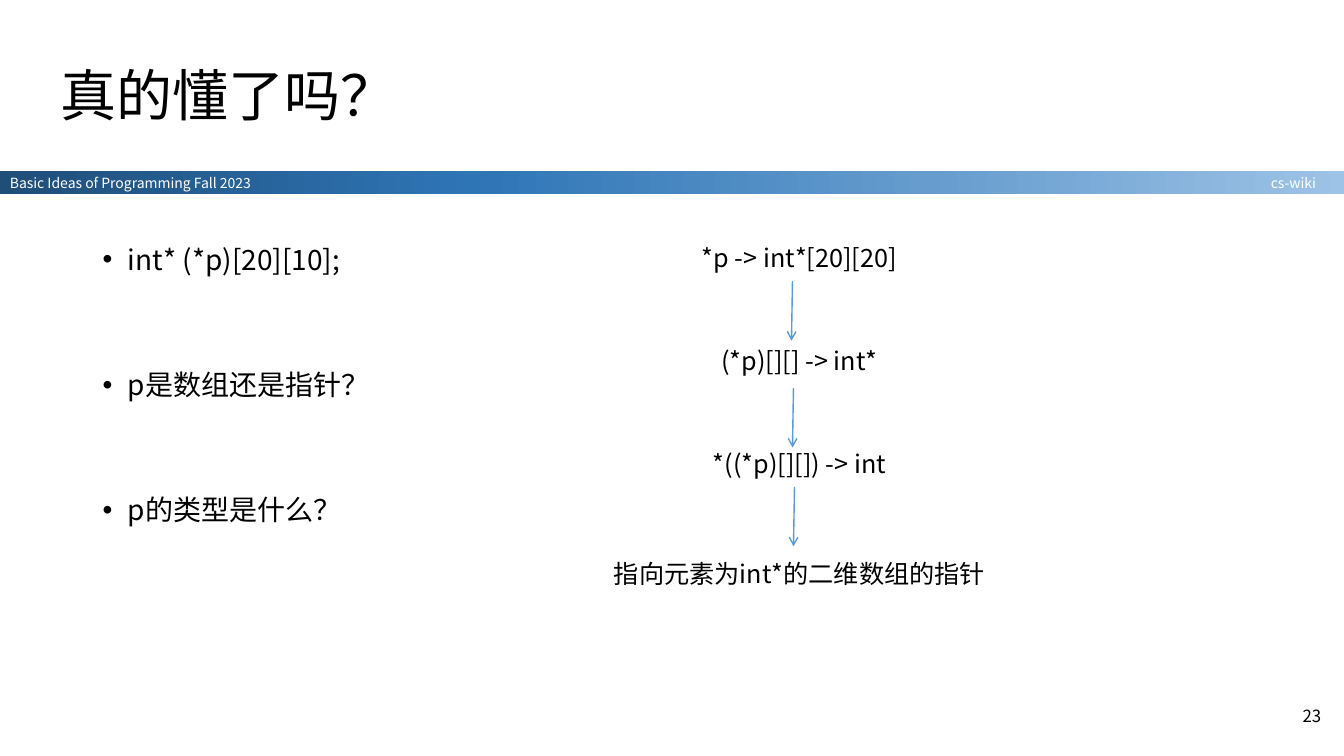
from lxml.etree import SubElement
from pptx import Presentation
from pptx.dml.color import RGBColor
from pptx.enum.shapes import MSO_CONNECTOR, MSO_SHAPE
from pptx.enum.text import MSO_ANCHOR, PP_ALIGN
from pptx.oxml.ns import qn
from pptx.util import Inches, Pt

FONT = "Noto Sans CJK SC"
BLACK = RGBColor(0, 0, 0)
WHITE = RGBColor(255, 255, 255)
ARROW_BLUE = RGBColor(0x5B, 0x9B, 0xD5)
BAR_STOPS = [(0, RGBColor(0x1F, 0x4E, 0x79)), (35, RGBColor(0x2E, 0x75, 0xB6)),
             (69, RGBColor(0x66, 0x9C, 0xCE)), (100, RGBColor(0x9D, 0xC3, 0xE6))]
WIDTH, HEIGHT = 13.33, 7.5


def write(sp, *lines, size=18, color=BLACK, align=PP_ALIGN.LEFT, anchor=MSO_ANCHOR.TOP,
          spacing=None, gap=0, bullet=False):
    tf = sp.text_frame
    tf.word_wrap = True
    tf.vertical_anchor = anchor
    tf.margin_left = tf.margin_right = Inches(0.1)
    tf.margin_top = tf.margin_bottom = Inches(0.05)
    for i, line in enumerate(lines):
        p = tf.add_paragraph() if i else tf.paragraphs[0]
        p.alignment = align
        p.line_spacing = spacing
        p.space_before = Pt(gap if i else 0)
        if bullet:
            pPr = p._p.get_or_add_pPr()
            pPr.set("marL", str(Inches(0.25)))
            pPr.set("indent", str(Inches(-0.25)))
            SubElement(pPr, qn("a:buFont"), typeface="Arial")
            SubElement(pPr, qn("a:buChar"), char="•")
        r = p.add_run()
        r.text = line
        r.font.size = Pt(size)
        r.font.color.rgb = color
        r.font.name = FONT
        SubElement(r._r.get_or_add_rPr(), qn("a:ea"), typeface=FONT)


def add_text(s, box, *lines, **fmt):
    sp = s.shapes.add_textbox(*map(Inches, box))
    write(sp, *lines, **fmt)


def add_title(s, box, text):
    sp = s.shapes.title
    sp.left, sp.top, sp.width, sp.height = map(Inches, box)
    write(sp, text, size=40, anchor=MSO_ANCHOR.BOTTOM, spacing=0.9)


def add_course_bar(s, box, course, site):
    x, y, w, h = box
    bar = s.shapes.add_shape(MSO_SHAPE.RECTANGLE, *map(Inches, box))
    bar.shadow.inherit = False
    bar.line.fill.background()
    bar.fill.gradient()
    bar.fill.gradient_angle = 0
    stops = bar._element.spPr.find(qn("a:gradFill")).find(qn("a:gsLst"))
    for stop in list(stops):
        stops.remove(stop)
    for share, color in BAR_STOPS:
        stop = SubElement(stops, qn("a:gs"), pos=str(share * 1000))
        SubElement(stop, qn("a:srgbClr"), val=str(color))
    fmt = dict(size=10, color=WHITE, anchor=MSO_ANCHOR.MIDDLE)
    write(bar, course, **fmt)
    add_text(s, (x + w - 2.18, y, 2, h), site, align=PP_ALIGN.RIGHT, **fmt)


def add_arrow(s, x, y, length):
    line = s.shapes.add_connector(MSO_CONNECTOR.STRAIGHT, Inches(x), Inches(y),
                                  Inches(x - 0.01), Inches(y + length))
    line.line.color.rgb = ARROW_BLUE
    line.line.width = Pt(1)
    SubElement(line.line._get_or_add_ln(), qn("a:tailEnd"), type="arrow")
    SubElement(line._element.spPr, qn("a:effectLst"))


def add_derivation(s, box, steps):
    """Stack centred steps, given as (text, top, arrow start), joined by arrows."""
    x, y, w, h = box
    for i, (text, top, arrow) in enumerate(steps):
        add_text(s, (x, y + top, w, h), text, align=PP_ALIGN.CENTER)
        if arrow:
            add_arrow(s, x + w / 2 - 0.07 + 0.01 * i, y + arrow, 0.59)


def main():
    prs = Presentation()
    prs.slide_width, prs.slide_height = Inches(WIDTH), Inches(HEIGHT)
    s = prs.slides.add_slide(prs.slide_layouts[5])
    add_course_bar(s, (0, 1.7, WIDTH, 0.22), "Basic Ideas of Programming Fall 2023", "cs-wiki")
    add_text(s, (12.82, 6.95, 0.41, 0.5), "23", size=12)
    add_title(s, (0.5, 0.44, 8.01, 0.89), "真的懂了吗？")
    add_text(s, (0.92, 2.39, 4.5, 4.38), "int* (*p)[20][10];", "p是数组还是指针？", "p的类型是什么？",
             size=20, spacing=0.9, gap=68, bullet=True)
    add_derivation(s, (5.53, 2.36, 4.8, 0.43), [
        ("*p -> int*[20][20]", 0, 0.43),
        ("(*p)[][] -> int*", 1.02, 1.49),
        ("*((*p)[][]) -> int", 2.04, 2.47),
        ("指向元素为int*的二维数组的指针", 3.13, None)])
    prs.save("out.pptx")


if __name__ == "__main__":
    main()
